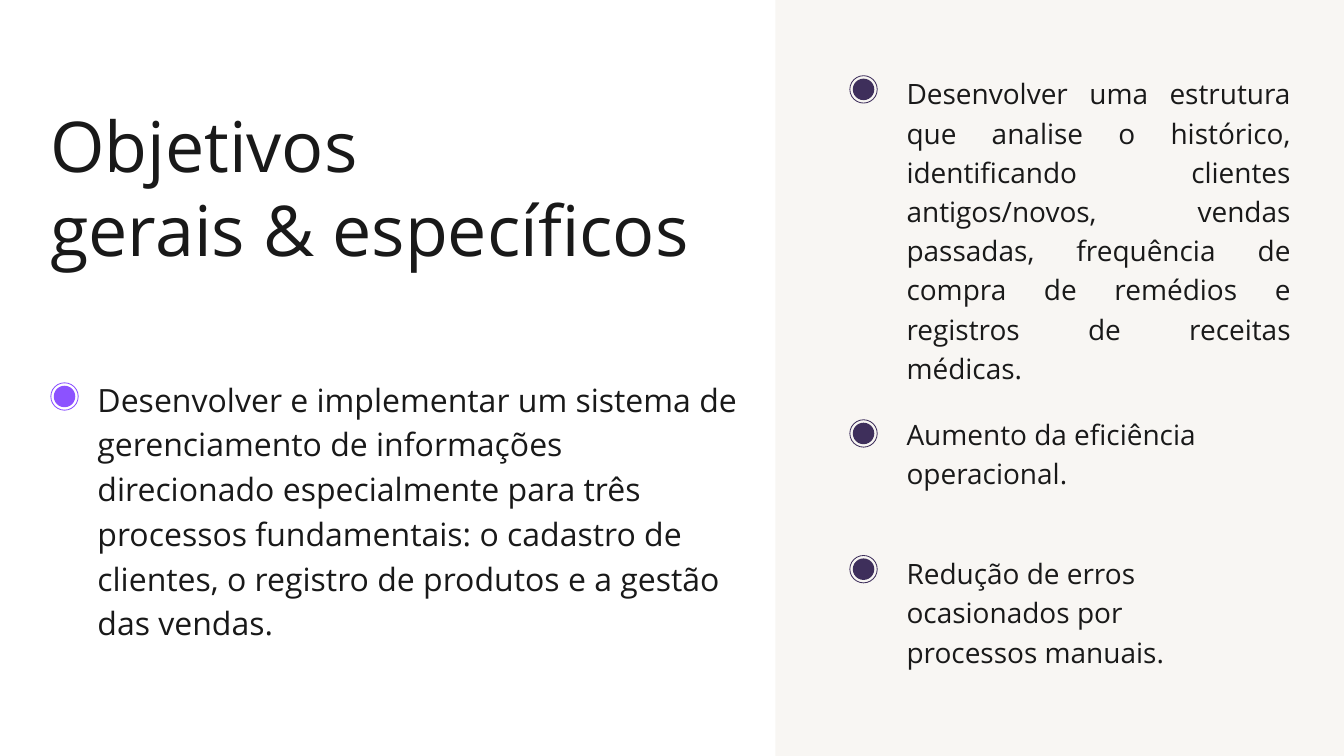
"""Build the general and specific objectives slide."""
import pptx
import pptx.dml.color
import pptx.enum.shapes
import pptx.enum.text
import pptx.oxml.ns
import pptx.util
from lxml import etree

RGB = pptx.dml.color.RGBColor
SHAPE = pptx.enum.shapes.MSO_SHAPE
ALIGN = pptx.enum.text.PP_ALIGN

INK = RGB(0x19, 0x19, 0x19)
WHITE = RGB(0xFF, 0xFF, 0xFF)
CREAM = RGB(0xF8, 0xF6, 0xF3)
PLUM = RGB(0x3E, 0x2F, 0x5B)
VIOLET = RGB(0x8C, 0x52, 0xFF)

FONT = "Open Sans"
PX = 9144
SLIDE = (2000, 1125)
PANEL_LEFT = 1154
RING, DOT = 42, 32

TITLE = ["Objetivos", "gerais & específicos"]
TITLE_BOX = (75, 153, 992, 251)
GENERAL = (
    "Desenvolver e implementar um sistema de gerenciamento de informações "
    "direcionado especialmente para três processos fundamentais: o cadastro de "
    "clientes, o registro de produtos e a gestão das vendas."
)
SPECIFIC = [
    (
        "Desenvolver uma estrutura que analise o histórico, identificando clientes "
        "antigos/novos, vendas passadas, frequência de compra de remédios e "
        "registros de receitas médicas."
    ),
    "Aumento da eficiência operacional.",
    "Redução de erros ocasionados por processos manuais.",
]
SPECIFIC_LEFT, MARKER_LEFT = 1349, 1264
SPECIFIC_PLACES = [
    (106, 572, 465, 112, ALIGN.JUSTIFY),
    (613, 494, 173, 624, ALIGN.LEFT),
    (820, 494, 231, 826, ALIGN.LEFT),
]


def px(*lengths):
    return [pptx.util.Emu(length * PX) for length in lengths]


def fill_shape(shape, color):
    shape.shadow.inherit = False
    shape.fill.solid()
    shape.fill.fore_color.rgb = color
    shape.line.fill.background()


def write(holder, box, lines, size, spacing, align=ALIGN.LEFT):
    holder.left, holder.top, holder.width, holder.height = px(*box)
    frame = holder.text_frame
    frame.word_wrap = True
    frame.auto_size = pptx.enum.text.MSO_AUTO_SIZE.NONE
    frame.vertical_anchor = pptx.enum.text.MSO_ANCHOR.TOP
    frame.margin_left = frame.margin_top = frame.margin_right = frame.margin_bottom = 0
    for index, line in enumerate(lines):
        paragraph = frame.add_paragraph() if index else frame.paragraphs[0]
        properties = paragraph._p.get_or_add_pPr()
        properties.set("marL", "0")
        properties.set("indent", "0")
        etree.SubElement(properties, pptx.oxml.ns.qn("a:buNone"))
        paragraph.alignment = align
        paragraph.line_spacing = pptx.util.Pt(spacing)
        paragraph.space_before = paragraph.space_after = pptx.util.Pt(0)
        run = paragraph.add_run()
        run.text = line
        run.font.name = FONT
        run.font.size = pptx.util.Pt(size)
        run.font.bold = False
        run.font.color.rgb = INK


def add_marker(slide, left, top, color):
    marker = slide.shapes.add_group_shape()
    inset = (RING - DOT) // 2
    dot = marker.shapes.add_shape(SHAPE.OVAL, *px(left + inset, top + inset, DOT, DOT))
    ring = marker.shapes.add_shape(SHAPE.DONUT, *px(left, top, RING, RING))
    ring.adjustments[0] = 0.03
    fill_shape(dot, color)
    fill_shape(ring, color)


def main():
    deck = pptx.Presentation()
    deck.slide_width, deck.slide_height = px(*SLIDE)
    slide = deck.slides.add_slide(deck.slide_layouts.get_by_name("Comparison"))
    slide.background.fill.solid()
    slide.background.fill.fore_color.rgb = WHITE

    panel = slide.shapes.add_shape(
        SHAPE.RECTANGLE, *px(PANEL_LEFT, 0, SLIDE[0] - PANEL_LEFT, SLIDE[1])
    )
    fill_shape(panel, CREAM)
    slide.shapes._spTree.insert(2, panel._element)

    holders = slide.placeholders
    write(slide.shapes.title, TITLE_BOX, TITLE, 75, 90)
    write(holders[1], (145, 556, 953, 389), [GENERAL], 34.3, 48)
    add_marker(slide, 75, 569, VIOLET)

    for index, (goal, place) in enumerate(zip(SPECIFIC, SPECIFIC_PLACES), start=2):
        top, width, height, marker_top, align = place
        write(holders[index], (SPECIFIC_LEFT, top, width, height), [goal], 30, 42, align)
        add_marker(slide, MARKER_LEFT, marker_top, PLUM)

    deck.save("out.pptx")


if __name__ == "__main__":
    main()
